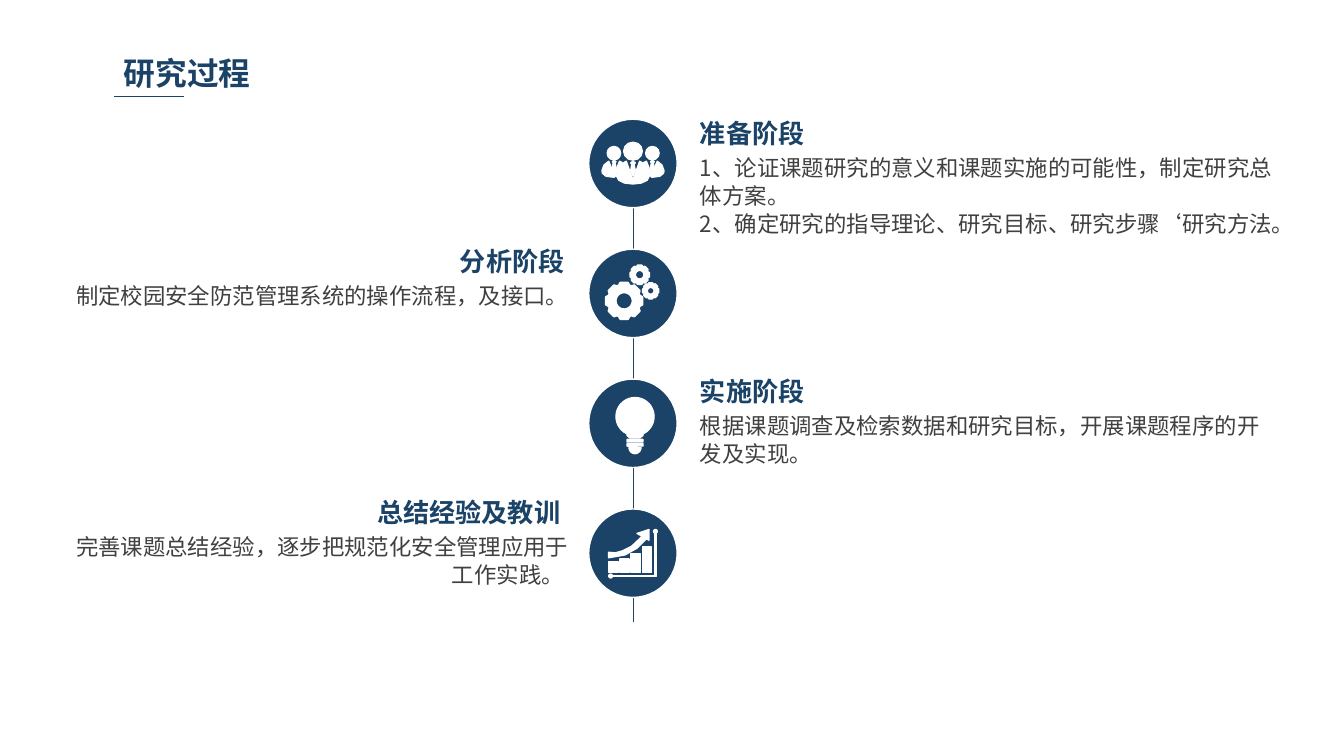
from dataclasses import dataclass
from math import cos, radians, sin

from lxml import etree
from pptx import Presentation
from pptx import util as u
from pptx.dml.color import RGBColor
from pptx.enum import shapes, text
from pptx.oxml.ns import qn

Point = tuple[float, float]
OVAL = shapes.MSO_SHAPE.OVAL
RECT = shapes.MSO_SHAPE.RECTANGLE
ROUND = shapes.MSO_SHAPE.ROUNDED_RECTANGLE
LEFT, RIGHT = text.PP_ALIGN.LEFT, text.PP_ALIGN.RIGHT


@dataclass(frozen=True)
class Theme:
    navy: str = "1B4367"
    body: str = "404040"
    white: str = "FFFFFF"
    font: str = "Noto Sans CJK SC"
    title_size: float = 17
    head_size: float = 14
    body_size: float = 12
    leading: float = 15
    line: float = 0.75


@dataclass(frozen=True)
class Preset:
    """A preset shape, placed by its centre relative to the disc centre."""
    kind: int
    x: float
    y: float
    w: float
    h: float


@dataclass(frozen=True)
class Outline:
    """Closed contours relative to the disc centre; later ones are holes."""
    contours: list[list[Point]]
    line: float = 0.75


@dataclass(frozen=True)
class Step:
    head: str
    body: list[str]
    top: float
    edge: float  # left edge of a right-hand text, right edge of a left-hand one
    head_edge: float
    width: float
    align: int
    icon: list[Preset | Outline]


T = Theme()
AXIS_X, FIRST_Y, PITCH, DISC = 339.1, 87.6, 69.6, 47.4


# Geometry helpers
def arc(x: float, y: float, r: float, start: float, end: float) -> list[Point]:
    n = 32
    angles = [radians(start + (end - start) * i / n) for i in range(n + 1)]
    return [(x + r * cos(a), y + r * sin(a)) for a in angles]


def mirror(points: list[Point]) -> list[Point]:
    return [(-x, y) for x, y in points]


def gear(x: float, y: float, r: float, hole: float) -> Outline:
    rim = []
    for tooth in range(8):
        for offset, k in ((-19, 0.88), (-12, 1), (12, 1), (19, 0.88)):
            a = radians(45 * tooth + offset)
            rim.append((x + k * r * cos(a), y + k * r * sin(a)))
    return Outline([rim, arc(x, y, hole, 360, 0)], line=1)


def tie(x: float, y: float, size: float) -> Outline:
    shape = [(0, 0), (1, 0.7), (0.5, 1.4), (1, 4), (0, 6.6), (-1, 4), (-0.5, 1.4), (-1, 0.7)]
    return Outline([[(x + size * dx, y + size * dy) for dx, dy in shape]])


# Icons
SIDE_BODY = [(-9.4, 6.7), (-8.6, 2.5), (-5.8, -0.5), (-7.2, -1.2), (-10.1, 6), (-13, -1.2),
             (-15.5, 0.8), (-16.6, 3.8), (-16.4, 5.2), (-14.5, 6.8), (-10.1, 7.4)]
HALF_BODY = [(0, 8.9), (-3.6, -1.2), (-6.5, 0.6), (-8.2, 3.2), (-8.8, 6.7), (-7.6, 9), (-4.5, 10.5), (0, 11)]
PEOPLE = [
    Preset(OVAL, 0, -6.6, 10, 9.6),
    Preset(OVAL, -10.2, -5.5, 7.2, 7.2),
    Preset(OVAL, 10.4, -5.5, 7.2, 7.2),
    Outline([HALF_BODY + mirror(HALF_BODY)[::-1]]),
    Outline([SIDE_BODY]),
    Outline([mirror(SIDE_BODY)]),
    tie(0, -1.2, 1.2),
    tie(-10.1, -1.7, 1),
    tie(10.4, -1.7, 1),
]
GEARS = [gear(-4.7, 4, 10, 4.5), gear(3.6, -10, 5.2, 2.4), gear(9.5, -1.4, 4.3, 1.9)]
BULB = [
    Outline([arc(1.1, -3.6, 10.2, 115, 425) + [(5.4, 6.5), (3.6, 7.9), (-1.6, 7.9), (-3.2, 6.5)]]),
    Preset(ROUND, 1.1, 9.3, 8.6, 1.4),
    Preset(ROUND, 1.1, 11.5, 8.6, 1.4),
    Outline([arc(1.1, 13, 3.2, 0, 180)]),
]
CHART = [Preset(RECT, -10.5 + 6 * i, (top + 10.3) / 2, 5, 10.3 - top)
         for i, top in enumerate((4.5, 3.1, 0.2, -3.4))]
CHART += [
    Outline([[(-13, -0.5), (-9.4, -0.2), (-5.8, -1.2), (-0.7, -3.7), (5, -9.1), (2.2, -10.6),
              (8.6, -12.7), (8.6, -7), (7.2, -7.7), (2.2, -2.7), (-4.3, 0.9), (-13, 2.4)]]),
    Outline([[(11.5, -12), (12.4, -12), (12.4, 12.5), (-12, 12.5), (-12, 11.8), (11.5, 11.8)]]),
    Preset(OVAL, 12, -11.7, 2, 2),
    Preset(OVAL, -12, 12.2, 2, 2),
]

STEPS = [
    Step("准备阶段", ["1、论证课题研究的意义和课题实施的可能性，制定研究总体方案。",
                  "2、确定研究的指导理论、研究目标、研究步骤‘研究方法。"],
         61.2, 367.9, 367.9, 330.5, LEFT, PEOPLE),
    Step("分析阶段", ["制定校园安全防范管理系统的操作流程，及接口。"],
         129.6, 311.8, 309.6, 281.5, RIGHT, GEARS),
    Step("实施阶段", ["根据课题调查及检索数据和研究目标，开展课题程序的开发及实现。"],
         199.4, 367.9, 367.9, 318.2, LEFT, BULB),
    Step("总结经验及教训", ["完善课题总结经验，逐步把规范化安全管理应用于工作实践。 "],
         264.2, 311.8, 307.4, 281.5, RIGHT, CHART),
]


# Drawing functions
def add_text(slide, lines: list[str], x: float, y: float, w: float, h: float, *, size: float,
             color: str, bold: bool = False, align: int = LEFT, leading: float | None = None,
             inset: Point = (7.2, 3.6)) -> None:
    tf = slide.shapes.add_textbox(u.Pt(x), u.Pt(y), u.Pt(w), u.Pt(h)).text_frame
    tf.word_wrap = True
    tf.margin_left = tf.margin_right = u.Pt(inset[0])
    tf.margin_top = tf.margin_bottom = u.Pt(inset[1])
    for i, line in enumerate(lines):
        p = tf.add_paragraph() if i else tf.paragraphs[0]
        p.alignment = align
        if leading:
            p.line_spacing = u.Pt(leading)
        r = p.add_run()
        r.text = line
        r.font.size, r.font.bold, r.font.name = u.Pt(size), bold, T.font
        r.font.color.rgb = RGBColor.from_string(color)
        etree.SubElement(r.font._element, qn("a:ea"), typeface=T.font)


def add_line(slide, x1: float, y1: float, x2: float, y2: float) -> None:
    sp = slide.shapes.add_connector(shapes.MSO_CONNECTOR.STRAIGHT, *map(u.Pt, (x1, y1, x2, y2)))
    sp.line.color.rgb = RGBColor.from_string(T.navy)
    sp.line.width = u.Pt(T.line)
    etree.SubElement(sp._element.spPr, qn("a:effectLst"))


def add_part(slide, part: Preset | Outline, x: float, y: float, fill: str = T.white) -> None:
    width = T.line
    if isinstance(part, Preset):
        left, top = x + part.x - part.w / 2, y + part.y - part.h / 2
        sp = slide.shapes.add_shape(part.kind, *map(u.Pt, (left, top, part.w, part.h)))
    else:
        width = part.line
        contours = [[(u.Pt(x + dx), u.Pt(y + dy)) for dx, dy in c] for c in part.contours]
        builder = slide.shapes.build_freeform(*contours[0][0])
        for i, points in enumerate(contours):
            if i:
                builder.move_to(*points[0])
            builder.add_line_segments(points[1:], close=True)
        sp = builder.convert_to_shape()
    sp.shadow.inherit = False
    sp.fill.solid()
    sp.fill.fore_color.rgb = RGBColor.from_string(fill)
    sp.line.color.rgb = RGBColor.from_string(T.white)
    sp.line.width = u.Pt(width)


def add_step(slide, step: Step, y: float) -> None:
    add_part(slide, Preset(OVAL, 0, 0, DISC, DISC), AXIS_X, y, T.navy)
    for part in step.icon:
        add_part(slide, part, AXIS_X, y)
    head_w = 180
    back, head_back = (step.width, head_w) if step.align == RIGHT else (0, 0)
    add_text(slide, step.body, step.edge - back, step.top + 17.2, step.width, 37.4,
             size=T.body_size, color=T.body, align=step.align, leading=T.leading)
    add_text(slide, [step.head], step.head_edge - head_back, step.top, head_w, 22.3,
             size=T.head_size, color=T.navy, bold=True, align=step.align, leading=T.leading)


def main() -> None:
    prs = Presentation()
    prs.slide_width, prs.slide_height = u.Pt(720), u.Pt(405)
    slide = prs.slides.add_slide(prs.slide_layouts[6])

    # Title and its rule
    add_text(slide, ["研究过程"], 61.2, 25.9, 177.8, 25.9, size=T.title_size,
             color=T.navy, bold=True, inset=(5, 2.9))
    add_line(slide, 61.2, 51.8, 98.6, 51.8)

    # Timeline
    add_line(slide, 339.5, 69.1, 339.5, 333.4)
    for i, step in enumerate(STEPS):
        add_step(slide, step, FIRST_Y + PITCH * i)

    prs.save("out.pptx")


if __name__ == "__main__":
    main()
